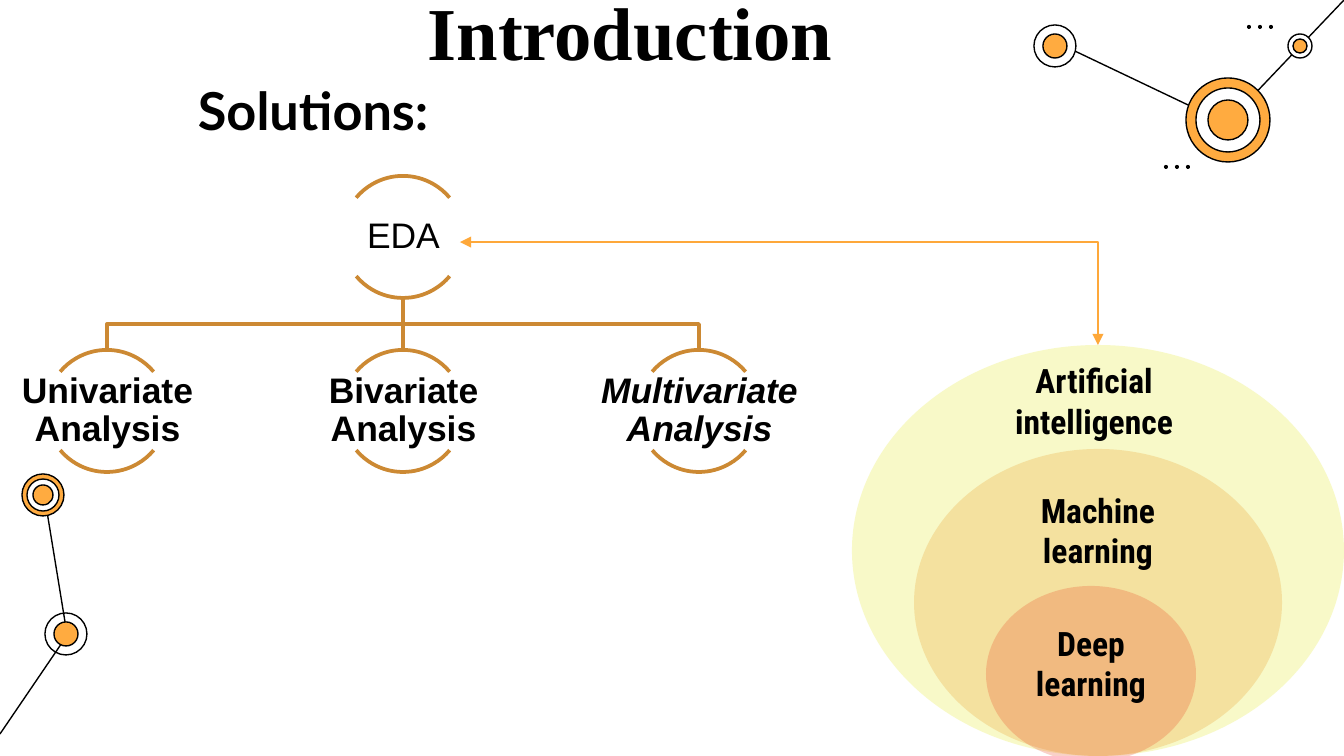
from lxml.etree import SubElement
from pptx import Presentation
from pptx.dml.color import RGBColor
from pptx.enum.shapes import MSO_CONNECTOR, MSO_SHAPE
from pptx.enum.text import MSO_ANCHOR, PP_ALIGN
from pptx.oxml.ns import qn
from pptx.util import Emu, Pt

BLACK = RGBColor(0x00, 0x00, 0x00)
WHITE = RGBColor(0xFF, 0xFF, 0xFF)
ORANGE = RGBColor(0xFF, 0xAB, 0x40)
ARROW = RGBColor(0xFE, 0xA8, 0x3A)
BRONZE = RGBColor(0xCC, 0x89, 0x33)
LIME = RGBColor(0xE4, 0xEA, 0x27)
AMBER = RGBColor(0xE9, 0x9B, 0x27)
RED = RGBColor(0xEA, 0x48, 0x27)

EMU_PER_PX = 914400 / 134.4


def px(length):
    return Emu(round(length * EMU_PER_PX))


class Canvas:
    """Style and drawing methods for the current slide."""

    thin = 0.75
    thick = 2

    def __init__(self, slide):
        self.slide = slide
        self.shapes = slide.shapes

    def stroke(self, shape, color, width):
        shape.line.color.rgb = color
        shape.line.width = Pt(width)

    def text(self, words, box, anchor=MSO_ANCHOR.MIDDLE, align=PP_ALIGN.CENTER,
             insets=(13, 13), spacing=None, **font):
        """Insets are horizontal, then vertical."""
        frame = self.shapes.add_textbox(*map(px, box)).text_frame
        across, down = map(px, insets)
        layout = dict(word_wrap=True, vertical_anchor=anchor, margin_left=across,
                      margin_right=across, margin_top=down, margin_bottom=down)
        for name, value in layout.items():
            setattr(frame, name, value)
        paragraph = frame.paragraphs[0]
        paragraph.alignment = align
        paragraph.line_spacing = spacing
        run = paragraph.add_run()
        run.text = words
        run.font.color.rgb = BLACK
        for name, value in font.items():
            setattr(run.font, name, value)

    def ellipse(self, box, fill=None, outline=None, alpha=None):
        shape = self.shapes.add_shape(MSO_SHAPE.OVAL, *map(px, box))
        shape.shadow.inherit = False
        if fill is None:
            shape.fill.background()
        else:
            shape.fill.solid()
            shape.fill.fore_color.rgb = fill
        if alpha is not None:
            color = shape.fill._xPr.find(qn("a:solidFill"))[0]
            SubElement(color, qn("a:alpha"), val=str(alpha * 1000))
        if outline is None:
            shape.line.fill.background()
        else:
            self.stroke(shape, outline, self.thin)

    def rings(self, x, y, layers):
        """Concentric outlined circles, given as (radius, fill) from the outside in."""
        for radius, fill in layers:
            self.ellipse((x - radius, y - radius, 2 * radius, 2 * radius), fill, BLACK)

    def dots(self, left, top):
        for column in range(3):
            self.ellipse((left + 11 * column, top, 4, 4), BLACK)

    def line(self, start, end, color=BLACK, width=thin):
        connector = self.shapes.add_connector(
            MSO_CONNECTOR.STRAIGHT, *map(px, start + end))
        self.stroke(connector, color, width)
        SubElement(connector._element.spPr, qn("a:effectLst"))
        return connector

    def corner_arrow(self, start, end):
        """One right-angled connector with a head at both ends."""
        connector = self.line(start, end, ARROW)
        connector._element.spPr.find(qn("a:prstGeom")).set("prst", "bentConnector2")
        outline = connector.line._get_or_add_ln()
        for tag in ("a:headEnd", "a:tailEnd"):
            SubElement(outline, qn(tag), type="triangle")

    def branch(self, start, end):
        """Tree branch that turns halfway down."""
        if start[0] == end[0]:
            self.line(start, end, BRONZE, self.thick)
            return
        middle = (start[1] + end[1]) // 2
        builder = self.shapes.build_freeform(*start, scale=EMU_PER_PX)
        builder.add_line_segments(
            [(start[0], middle), (end[0], middle), end], close=False)
        shape = builder.convert_to_shape()
        shape.shadow.inherit = False
        shape.fill.background()
        self.stroke(shape, BRONZE, self.thick)

    def tree_node(self, center, top, words, **font):
        """Label between an upper and a lower arc."""
        size = 122
        for angles in ((132, 192), (24, 84)):
            arc = self.shapes.add_shape(
                MSO_SHAPE.ARC, *map(px, (center - size // 2, top, size, size)))
            arc.shadow.inherit = False
            arc.fill.background()
            self.stroke(arc, BRONZE, self.thick)
            for index, angle in enumerate(angles):
                arc.adjustments[index] = angle
        self.text(words, (center - 122, top + 22, 245, 78), insets=(1, 1),
                  spacing=0.9, name="Arial", size=Pt(19), **font)


def draw_network(canvas):
    links = [((67, 634), (44, 493)), ((0, 734), (66, 637)),
             ((1228, 124), (1058, 43)), ((1344, 0), (1228, 122))]
    for start, end in links:
        canvas.line(start, end)
    hubs = [(66, 634, [(21, None), (12, ORANGE)]),
            (43, 495, [(21, ORANGE), (16, WHITE), (10, ORANGE)]),
            (1228, 120, [(42, ORANGE), (32, WHITE), (20, ORANGE)]),
            (1055, 46, [(21, WHITE), (12, ORANGE)]),
            (1300, 46, [(12, WHITE), (7, ORANGE)])]
    for hub in hubs:
        canvas.rings(*hub)
    canvas.dots(1247, 25)
    canvas.dots(1164, 165)


def draw_analysis_tree(canvas):
    root, step = 403, 296
    analyses = [("Univariate Analysis", False), ("Bivariate Analysis", False),
                ("Multivariate Analysis", True)]
    centers = [root + step * (index - 1) for index in range(len(analyses))]
    for center in reversed(centers):
        canvas.branch((root, 298), (center, 350))
    canvas.tree_node(root, 176, "EDA")
    for center, (words, italic) in zip(centers, analyses):
        canvas.tree_node(center, 350, words, bold=True, italic=italic)


def draw_nested_fields(canvas):
    fields = [
        ("Artificial intelligence", LIME, (852, 345, 492, 411), (989, 367, 210, 67)),
        ("Machine learning", AMBER, (914, 449, 368, 307), (1007, 503, 182, 54)),
        ("Deep learning", RED, (986, 586, 210, 176), (1000, 636, 182, 54))]
    for words, color, oval, label in fields:
        canvas.ellipse(oval, color, alpha=25)
        canvas.text(words, label, name="Roboto Condensed", size=Pt(18), bold=True)


def main():
    deck = Presentation()
    deck.slide_width, deck.slide_height = px(1344), px(756)
    canvas = Canvas(deck.slides.add_slide(deck.slide_layouts[6]))
    draw_network(canvas)
    canvas.text("Introduction", (374, -27, 512, 52), anchor=MSO_ANCHOR.TOP,
                name="Times New Roman", size=Pt(40), bold=True)
    canvas.text("Solutions:", (185, 71, 347, 77), anchor=MSO_ANCHOR.TOP,
                align=PP_ALIGN.LEFT, insets=(13, 7),
                name="Lato", size=Pt(28), bold=True)
    draw_analysis_tree(canvas)
    draw_nested_fields(canvas)
    canvas.corner_arrow((460, 242), (1098, 345))
    deck.save("out.pptx")


if __name__ == "__main__":
    main()
